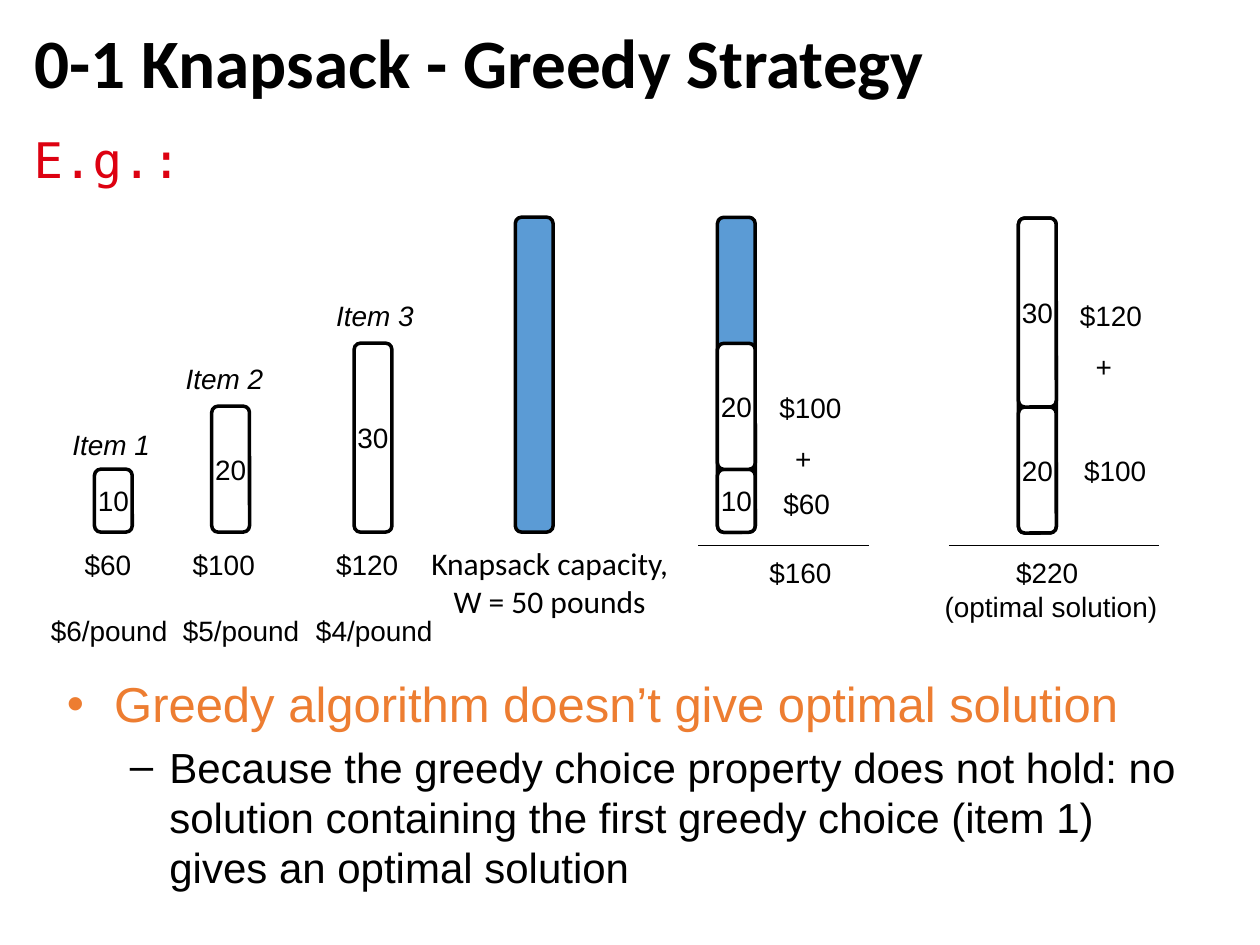
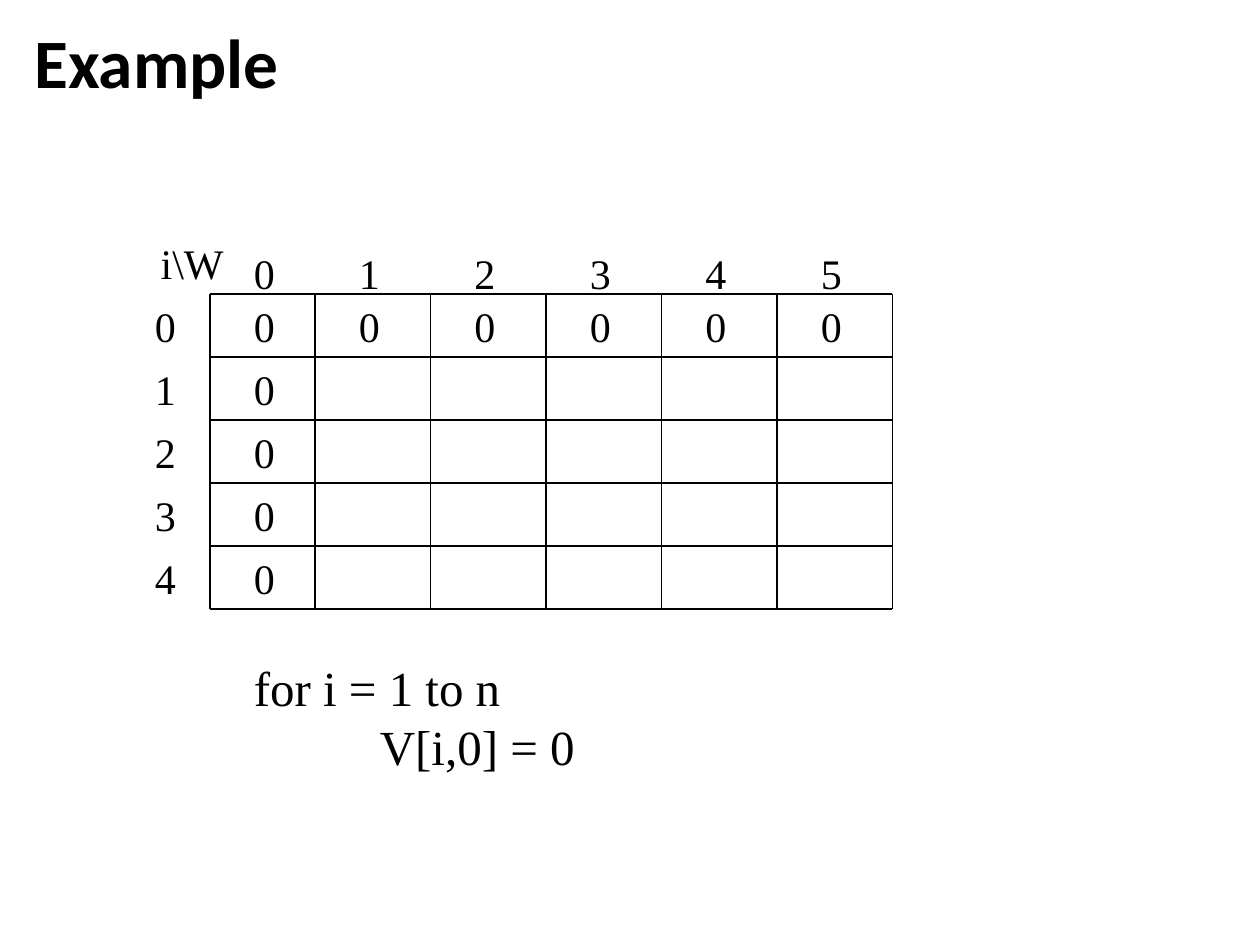
from dataclasses import dataclass
from itertools import accumulate

from lxml.etree import SubElement
from pptx import Presentation
from pptx.dml.color import RGBColor
from pptx.enum.shapes import MSO_CONNECTOR, MSO_SHAPE
from pptx.enum.text import MSO_ANCHOR, MSO_AUTO_SIZE, PP_ALIGN
from pptx.oxml.ns import qn
from pptx.util import Pt


@dataclass(frozen=True)
class Theme:
    black: str = "000000"
    white: str = "FFFFFF"
    blue: str = "5B9BD5"
    red: str = "DD0111"
    orange: str = "ED7D31"
    sans: str = "Arial"
    heading: str = "Calibri"
    mono: str = "DejaVu Sans Mono"
    serif: str = "Times New Roman"
    title_size: float = 39.6
    large: float = 28
    medium: float = 24
    caption: float = 18
    small: float = 16


THEME = Theme()

# Content of the knapsack slide; positions are (left, top) in points
GREEDY_TITLE = "0-1 Knapsack - Greedy Strategy"
ITEMS = [  # name, weight, bar left, name position, price, price left, rate, rate left
    ("Item 1", 10, 54, (34.3, 240.8), "$60", 41.3, "$6/pound", 22),
    ("Item 2", 20, 121, (99, 203), "$100", 103, "$5/pound", 97.4),
    ("Item 3", 30, 202.4, (185, 167), "$120", 185, "$4/pound", 173.5),
]
CAPACITY = 50
CAPACITY_LEFT = 294.5
CAPACITY_LABEL = ["Knapsack capacity,", "W = 50 pounds"]
SOLUTIONS = [
    {"left": 410, "base": 304.2, "weights": [10, 20],
     "top_value": ("$100", 438.2, 219.6), "low_value": ("$60", 440.6, 274.3),
     "rule": (398.9, 496.8), "total": ["$160"], "total_box": (432.5, 49.7)},
    {"left": 582, "base": 304.6, "weights": [20, 30],
     "top_value": ("$120", 610, 167), "low_value": ("$100", 612.4, 255.6),
     "rule": (542.2, 662.4), "total": ["$220 ", "(optimal solution)"],
     "total_box": (531.8, 137.5)},
]
CONCLUSIONS = [  # bullet, text, size, colour, left margin, hanging indent
    ("•", "Greedy algorithm doesn’t give optimal solution",
     THEME.large, THEME.orange, 27, 27),
    ("–", "Because the greedy choice property does not hold: no solution containing "
     "the first greedy choice (item 1) gives an optimal solution",
     THEME.medium, THEME.black, 58.5, 22.5),
]

# Content of the example slide
EXAMPLE_TITLE = "Example"
CORNER = "i\\W"
WEIGHTS = ["0", "1", "2", "3", "4", "5"]
ROWS = ["0", "1", "2", "3", "4"]
VALUES = [["0"] * 6] + [["0"]] * 4
LOOP = ["for i = 1 to n", "V[i,0] = 0"]

# Measures
POUND = 3.6
BAR_WIDTH = 21.6
BASE = 304.1
RULE_TOP = 311.8
LINE_HEIGHT = 26.6
LABEL_WIDTHS = {"$60": 41, "$100": 49.7, "$120": 49.7}
GRID_LEFT, GRID_TOP, ROW_HEIGHT = 120, 168, 36
COLUMN_WIDTHS = [60] + [66] * 5
DIGIT_INSET, DIGIT_WIDTH = 18, 26.6


def style(paragraph, size=THEME.small, font=THEME.sans, color=THEME.black,
          bold=False, italic=False, align=PP_ALIGN.LEFT):
    paragraph.alignment = align
    paragraph.font.size = Pt(size)
    paragraph.font.name = font
    paragraph.font.bold = bold
    paragraph.font.italic = italic
    paragraph.font.color.rgb = RGBColor.from_string(color)


def add_text(slide, text, left, top, width, height=LINE_HEIGHT, wrap=False, **look):
    """Add a text box holding one string or a list of paragraphs."""
    frame = slide.shapes.add_textbox(Pt(left), Pt(top), Pt(width), Pt(height)).text_frame
    frame.word_wrap = wrap
    frame.auto_size = MSO_AUTO_SIZE.SHAPE_TO_FIT_TEXT
    frame.text = text if isinstance(text, str) else "\n".join(text)
    for paragraph in frame.paragraphs:
        style(paragraph, **look)
    return frame


def indent(paragraph, left, hanging=0, bullet=None):
    properties = paragraph._p.get_or_add_pPr()
    properties.set("marL", str(int(Pt(left))))
    properties.set("indent", str(int(Pt(-hanging))))
    if bullet:
        SubElement(properties, qn("a:buFont"), typeface=THEME.sans)
        SubElement(properties, qn("a:buChar"), char=bullet)


def add_bar(slide, left, base, weight, fill=THEME.white, label=True):
    height = weight * POUND
    bar = slide.shapes.add_shape(MSO_SHAPE.ROUNDED_RECTANGLE, Pt(left), Pt(base - height),
                                 Pt(BAR_WIDTH), Pt(height))
    bar.shadow.inherit = False
    bar.fill.solid()
    bar.fill.fore_color.rgb = RGBColor.from_string(fill)
    bar.line.color.rgb = RGBColor.from_string(THEME.black)
    bar.line.width = Pt(2)
    if label:
        frame = bar.text_frame
        frame.word_wrap = False
        frame.vertical_anchor = MSO_ANCHOR.MIDDLE
        frame.text = str(weight)
        style(frame.paragraphs[0], align=PP_ALIGN.CENTER)


def add_rule(slide, left, top, right, bottom):
    rule = slide.shapes.add_connector(MSO_CONNECTOR.STRAIGHT, Pt(left), Pt(top),
                                      Pt(right), Pt(bottom))
    rule.line.color.rgb = RGBColor.from_string(THEME.black)
    rule.line.width = Pt(0.75)
    SubElement(rule._element.spPr, qn("a:effectLst"))


def add_slide(deck, heading):
    slide = deck.slides.add_slide(deck.slide_layouts[5])
    title = slide.shapes.title
    title.left, title.top, title.width, title.height = Pt(12.5), Pt(11.3), Pt(692.6), Pt(53.3)
    frame = title.text_frame
    frame.text = heading
    frame.auto_size = MSO_AUTO_SIZE.NONE
    frame.vertical_anchor = MSO_ANCHOR.MIDDLE
    style(frame.paragraphs[0], size=THEME.title_size, font=THEME.heading, bold=True)
    frame.paragraphs[0].line_spacing = 0.9
    return slide


def build_greedy_slide(deck):
    slide = add_slide(deck, GREEDY_TITLE)
    example = add_text(slide, "E.g.:", 12.2, 74.2, 692.6, 40, wrap=True,
                       size=THEME.large, font=THEME.mono, color=THEME.red)
    example.paragraphs[0].line_spacing = 0.9

    # Items to choose from
    for name, weight, left, name_at, price, price_left, rate, rate_left in ITEMS:
        add_bar(slide, left, BASE, weight)
        add_text(slide, name, *name_at, 59, italic=True)
        add_text(slide, price, price_left, 309.6, LABEL_WIDTHS[price])
        add_text(slide, rate, rate_left, 347, 81.4)

    # Empty knapsack
    add_bar(slide, CAPACITY_LEFT, BASE, CAPACITY, fill=THEME.blue, label=False)
    add_text(slide, CAPACITY_LABEL, 237.8, 307.6, 152.6, 51, wrap=True,
             size=THEME.caption, font=THEME.heading, align=PP_ALIGN.CENTER)

    # Greedy and optimal fillings
    for solution in SOLUTIONS:
        base = solution["base"]
        add_bar(slide, solution["left"], base, CAPACITY, fill=THEME.blue, label=False)
        for weight in solution["weights"]:
            add_bar(slide, solution["left"], base, weight)
            base -= weight * POUND
        value, left, top = solution["top_value"]
        plus = add_text(slide, [value, "+"], left, top, LABEL_WIDTHS[value], 55.4).paragraphs[1]
        plus.space_before = Pt(10)
        indent(plus, 9)
        value, left, top = solution["low_value"]
        add_text(slide, value, left, top, LABEL_WIDTHS[value])
        start, end = solution["rule"]
        add_rule(slide, start, RULE_TOP, end, RULE_TOP)
        left, width = solution["total_box"]
        total = solution["total"]
        add_text(slide, total, left, 314, width, 7.2 + 19.4 * len(total),
                 align=PP_ALIGN.CENTER)

    # Conclusions
    frame = add_text(slide, [row[1] for row in CONCLUSIONS], 31.2, 381.5, 648, 147.6, wrap=True)
    frame.auto_size = MSO_AUTO_SIZE.NONE
    for paragraph, (bullet, _, size, color, left, hanging) in zip(frame.paragraphs, CONCLUSIONS):
        for old_font in paragraph._p.pPr.findall(qn("a:defRPr")):
            paragraph._p.pPr.remove(old_font)
        indent(paragraph, left, hanging, bullet)
        style(paragraph, size=size, color=color)
    frame.paragraphs[1].space_before = Pt(4.8)


def build_example_slide(deck):
    slide = add_slide(deck, EXAMPLE_TITLE)
    digits = {"size": THEME.medium, "font": THEME.serif}
    column_edges = list(accumulate(COLUMN_WIDTHS, initial=GRID_LEFT))
    row_edges = [GRID_TOP + row * ROW_HEIGHT for row in range(len(ROWS) + 1)]

    # Grid lines
    for left in column_edges:
        add_rule(slide, left, row_edges[0], left, row_edges[-1])
    for top in row_edges:
        add_rule(slide, column_edges[0], top, column_edges[-1], top)

    # Column labels, row labels and values
    for left, weight in zip(column_edges, WEIGHTS):
        add_text(slide, weight, left + DIGIT_INSET, 138, DIGIT_WIDTH, ROW_HEIGHT, **digits)
    for top, index, values in zip(row_edges, ROWS, VALUES):
        add_text(slide, index, 81.5, top, DIGIT_WIDTH, ROW_HEIGHT, **digits)
        for left, value in zip(column_edges, values):
            add_text(slide, value, left + DIGIT_INSET, top, DIGIT_WIDTH, ROW_HEIGHT, **digits)
    add_text(slide, CORNER, 82.8, 132, 54, ROW_HEIGHT, wrap=True,
             align=PP_ALIGN.CENTER, **digits)

    # Initialisation loop
    loop = add_text(slide, LOOP, 138, 372, 270, 74, wrap=True,
                    size=THEME.large, font=THEME.serif)
    indent(loop.paragraphs[1], 72)


def main():
    deck = Presentation()
    deck.slide_width, deck.slide_height = Pt(720), Pt(540)
    build_greedy_slide(deck)
    build_example_slide(deck)
    deck.save("out.pptx")


if __name__ == "__main__":
    main()
